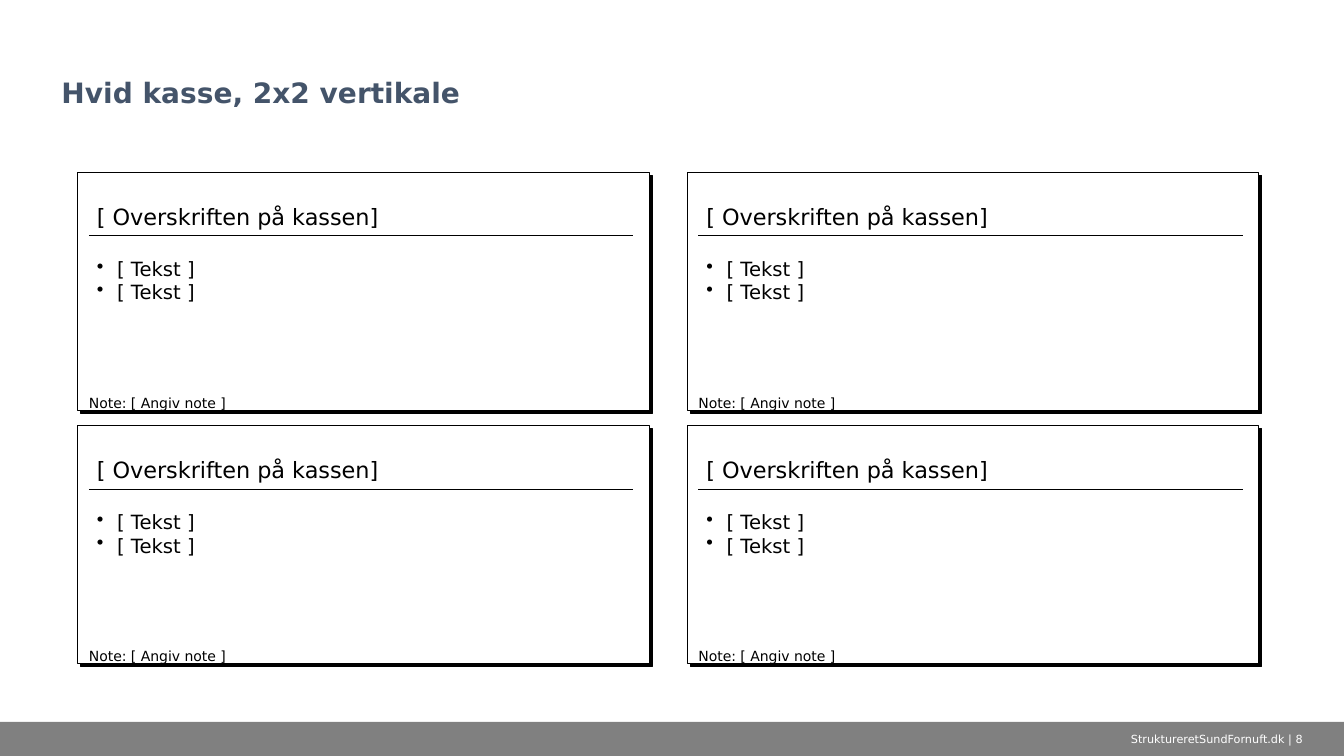
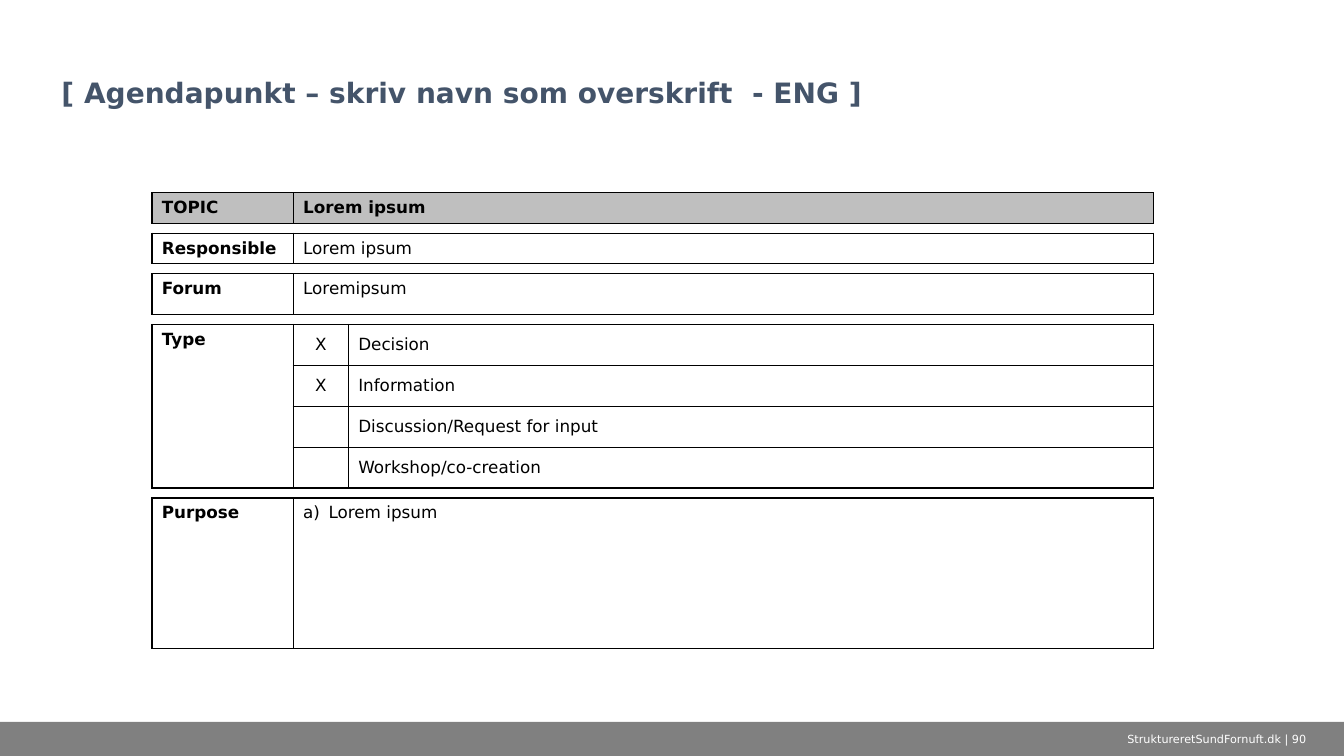
from dataclasses import dataclass
from itertools import product

from lxml.etree import SubElement
from pptx import Presentation
from pptx.dml.color import RGBColor as Color
from pptx.enum.shapes import MSO_CONNECTOR as Connector, MSO_SHAPE as Shape
from pptx.enum.text import MSO_ANCHOR as Anchor, PP_ALIGN as Align
from pptx.oxml.ns import qn
from pptx.util import Cm, Pt


@dataclass(frozen=True)
class Theme:
    font: str = "DejaVu Sans"
    black: str = "000000"
    white: str = "FFFFFF"
    title: str = "44546A"
    band: str = "808080"
    topic: str = "BFBFBF"
    title_size: int = 20
    card_head_size: int = 16
    card_body_size: int = 14
    table_size: int = 12
    note_size: int = 10
    footer_size: int = 8
    gap_size: int = 1
    thin: float = 0.5
    border: float = 1


THEME = Theme()

SITE = "StruktureretSundFornuft.dk"
CARDS_TITLE, CARDS_NUMBER = "Hvid kasse, 2x2 vertikale", 8
CARD = {
    "head": "[ Overskriften på kassen]",
    "body": ["[ Tekst ]", "[ Tekst ]"],
    "note": "Note: [ Angiv note ]",
}

AGENDA_TITLE, AGENDA_NUMBER = "[ Agendapunkt – skriv navn som overskrift  - ENG ]", 90
# label, row height, texts or (mark, text) choices
AGENDA = [
    ("TOPIC", 0.76, ["Lorem ipsum"]),
    ("Responsible", 0.76, ["Lorem ipsum"]),
    ("Forum", 1.03, ["Loremipsum"]),
    ("Type", 1.03, [("X", "Decision"), ("X", "Information"),
                    ("", "Discussion/Request for input"), ("", "Workshop/co-creation")]),
    ("Purpose", 3.8, ["Lorem ipsum"]),
]

# Lengths in centimetres
SLIDE_W, SLIDE_H = 33.87, 19.05
BAND_TOP = 18.19
FOOTER_W = 6.4
CARD_LEFT, CARD_TOP, CARD_W, CARD_H = 1.96, 4.34, 14.4, 6
CARD_GAP_X, CARD_GAP_Y = 0.96, 0.38
CARD_PAD, CARD_INNER_W, HEAD_H = 0.28, 13.72, 1.6
BODY_TOP, NOTE_TOP = 1.98, 5.59
CARD_INSETS = (0.2, 0.15)
TEXT_INSETS = (0.25, 0.13)
BULLET = ("a:buChar", {"char": "•"}, 0.51)
LETTER = ("a:buAutoNum", {"type": "alphaLcParenR"}, 0.64)
TABLE_LEFT, TABLE_TOP = 3.83, 4.86
COLUMNS = [3.56, 1.39, 20.29]
ROW_GAP = 0.25


def rgb(value):
    return Color.from_string(value)


def write(para, text, size, color=THEME.black, bold=False, align=Align.LEFT, marker=None):
    para.alignment = align
    if marker:
        tag, attributes, indent = marker
        props = para._p.get_or_add_pPr()
        props.set("marL", str(Cm(indent)))
        props.set("indent", str(-Cm(indent)))
        SubElement(props, qn(tag), attributes)
    span = para.add_run()
    span.text = text
    span.font.name, span.font.size, span.font.bold = THEME.font, Pt(size), bold
    span.font.color.rgb = rgb(color)


def add_text(shapes, at, lines, size, anchor=Anchor.TOP, insets=TEXT_INSETS, **style):
    frame = shapes.add_textbox(*map(Cm, at)).text_frame
    frame.word_wrap = True
    frame.vertical_anchor = anchor
    frame.margin_left = frame.margin_right = Cm(insets[0])
    frame.margin_top = frame.margin_bottom = Cm(insets[1])
    for index, line in enumerate(lines):
        para = frame.add_paragraph() if index else frame.paragraphs[0]
        write(para, line, size, **style)
    return frame


def add_box(shapes, at, fill):
    box = shapes.add_shape(Shape.RECTANGLE, *map(Cm, at))
    box.shadow.inherit = False
    box.fill.solid()
    box.fill.fore_color.rgb = rgb(fill)
    box.line.fill.background()
    return box


def outline(line):
    line.color.rgb = rgb(THEME.black)
    line.width = Pt(THEME.thin)


def add_page(deck, title, number):
    """Add a blank page with the shared title, band and footer."""
    page = deck.slides.add_slide(deck.slide_layouts[6])
    band_h = SLIDE_H - BAND_TOP
    add_box(page.shapes, (0, BAND_TOP, SLIDE_W, band_h), THEME.band)
    frame = add_text(page.shapes, (1.3, 0.43, 31.27, 2.46), [title], THEME.title_size,
                     Anchor.BOTTOM, color=THEME.title, bold=True)
    frame.paragraphs[0].line_spacing = 0.9
    add_text(page.shapes, (SLIDE_W - FOOTER_W, BAND_TOP, FOOTER_W, band_h),
             [f"{SITE} | {number}"], THEME.footer_size, Anchor.MIDDLE,
             color=THEME.white, align=Align.CENTER)
    return page


def add_card(page, left, top):
    shapes = page.shapes.add_group_shape().shapes
    box = add_box(shapes, (left, top, CARD_W, CARD_H), THEME.white)
    outline(box.line)
    effects = box._element.spPr.find(qn("a:effectLst"))
    shadow = SubElement(effects, qn("a:outerShdw"), dist=str(Pt(3)), dir="2700000",
                        algn="tl", rotWithShape="0")
    SubElement(shadow, qn("a:srgbClr"), val=THEME.black)

    inner, rule_y = left + CARD_PAD, top + HEAD_H
    rule = shapes.add_connector(Connector.STRAIGHT, Cm(inner), Cm(rule_y),
                                Cm(inner + CARD_INNER_W), Cm(rule_y))
    outline(rule.line)
    SubElement(rule._element.spPr, qn("a:effectLst"))

    add_text(shapes, (inner, top, CARD_INNER_W, HEAD_H), [CARD["head"]],
             THEME.card_head_size, Anchor.BOTTOM, CARD_INSETS)
    add_text(shapes, (inner, top + BODY_TOP, CARD_INNER_W, NOTE_TOP - BODY_TOP),
             CARD["body"], THEME.card_body_size, insets=CARD_INSETS, marker=BULLET)
    add_text(shapes, (inner, top + NOTE_TOP, CARD_INNER_W, CARD_H - NOTE_TOP),
             [CARD["note"]], THEME.note_size, insets=(0, 0))


def format_cell(cell, fill, is_gap):
    """Set borders, fill and the size of empty text; a gap has no side borders."""
    props = cell._tc.get_or_add_tcPr()
    for side in "LRTB":
        line = SubElement(props, qn(f"a:ln{side}"), w=str(Pt(THEME.border)))
        if is_gap and side in "LR":
            SubElement(line, qn("a:noFill"))
        else:
            solid = SubElement(line, qn("a:solidFill"))
            SubElement(solid, qn("a:srgbClr"), val=THEME.black)
    cell.fill.solid()
    cell.fill.fore_color.rgb = rgb(fill)
    across, down = (0, 0) if is_gap else TEXT_INSETS
    cell.margin_left = cell.margin_right = Cm(across)
    cell.margin_top = cell.margin_bottom = Cm(down)
    if not cell.text_frame.text:
        size = THEME.gap_size if is_gap else THEME.table_size
        SubElement(cell.text_frame.paragraphs[0]._p, qn("a:endParaRPr"), sz=str(size * 100))


def fill_cell(cell, text, **style):
    if text:
        write(cell.text_frame.paragraphs[0], text, THEME.table_size, **style)


def add_agenda(page):
    heights, gaps, starts = [], set(), []
    for label, height, lines in AGENDA:
        if heights:
            gaps.add(len(heights))
            heights.append(ROW_GAP)
        starts.append(len(heights))
        heights += [height] * len(lines)

    frame = page.shapes.add_table(len(heights), len(COLUMNS), Cm(TABLE_LEFT), Cm(TABLE_TOP),
                                  Cm(sum(COLUMNS)), Cm(sum(heights)))
    table = frame.table
    table.first_row = table.horz_banding = False
    for column, width in zip(table.columns, COLUMNS):
        column.width = Cm(width)
    for row, height in zip(table.rows, heights):
        row.height = Cm(height)

    for start, (label, _, lines) in zip(starts, AGENDA):
        is_topic = label == "TOPIC"
        fill_cell(table.cell(start, 0), label, bold=True)
        if len(lines) > 1:
            table.cell(start, 0).merge(table.cell(start + len(lines) - 1, 0))
        for row, line in enumerate(lines, start):
            if isinstance(line, tuple):
                mark, text = line
                fill_cell(table.cell(row, 1), mark, align=Align.CENTER)
                fill_cell(table.cell(row, 2), text)
                for col in (1, 2):
                    table.cell(row, col).vertical_anchor = Anchor.MIDDLE
            else:
                table.cell(row, 1).merge(table.cell(row, 2))
                fill_cell(table.cell(row, 1), line, bold=is_topic,
                          marker=LETTER if label == "Purpose" else None)
    for row in gaps:
        table.cell(row, 0).merge(table.cell(row, 2))
    for row, col in product(range(len(heights)), range(len(COLUMNS))):
        format_cell(table.cell(row, col), THEME.white if row else THEME.topic, row in gaps)


def main():
    deck = Presentation()
    deck.slide_width, deck.slide_height = Cm(SLIDE_W), Cm(SLIDE_H)
    page = add_page(deck, CARDS_TITLE, CARDS_NUMBER)
    for row, col in product(range(2), repeat=2):
        add_card(page, CARD_LEFT + col * (CARD_W + CARD_GAP_X),
                 CARD_TOP + row * (CARD_H + CARD_GAP_Y))
    add_agenda(add_page(deck, AGENDA_TITLE, AGENDA_NUMBER))
    deck.save("out.pptx")


if __name__ == "__main__":
    main()
